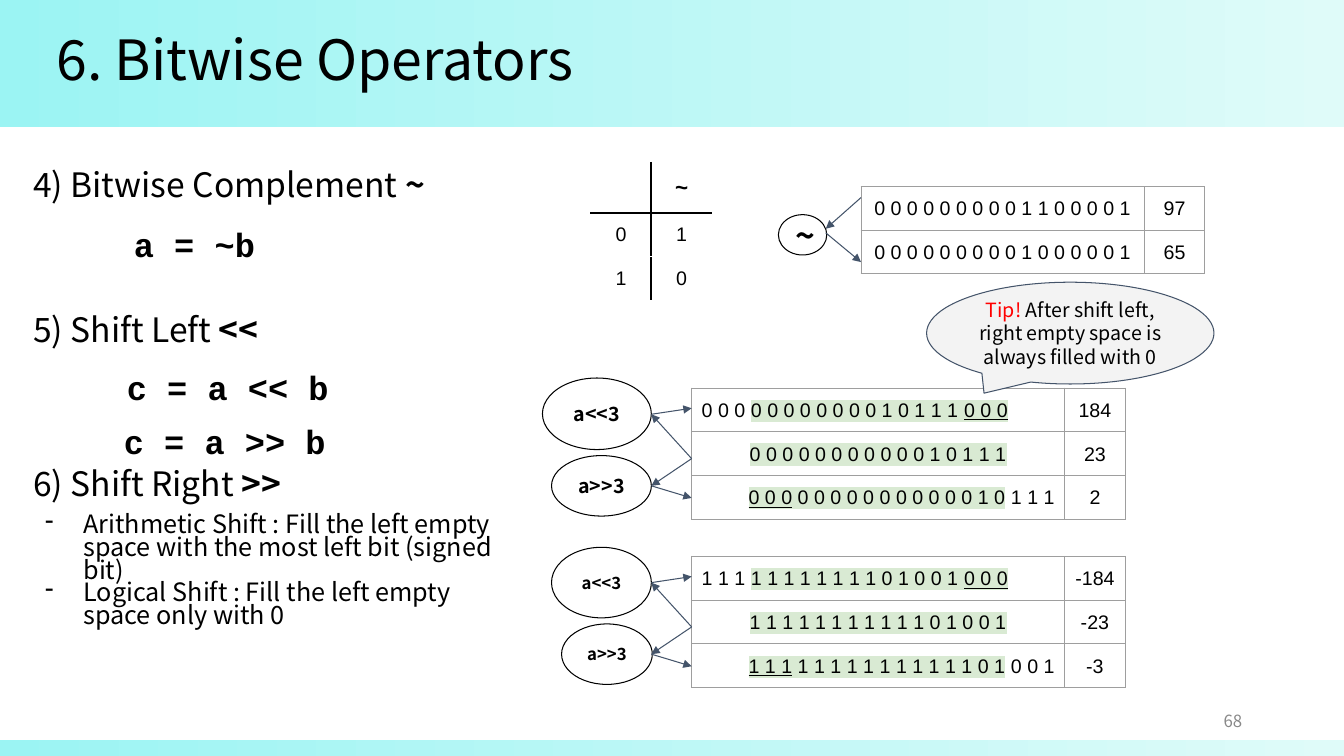
from lxml import etree
from pptx import Presentation
from pptx.dml.color import RGBColor
from pptx.enum.shapes import MSO_CONNECTOR, MSO_SHAPE
from pptx.enum.text import MSO_ANCHOR, PP_ALIGN
from pptx.oxml.ns import qn
from pptx.util import Inches, Pt

LEFT, CENTER, RIGHT = PP_ALIGN.LEFT, PP_ALIGN.CENTER, PP_ALIGN.RIGHT
TOP, MIDDLE, BOTTOM = MSO_ANCHOR.TOP, MSO_ANCHOR.MIDDLE, MSO_ANCHOR.BOTTOM
RECT, ELLIPSE = MSO_SHAPE.RECTANGLE, MSO_SHAPE.OVAL
CALLOUT = MSO_SHAPE.OVAL_CALLOUT
STRAIGHT = MSO_CONNECTOR.STRAIGHT

SANS, MONO, ARIAL = "Noto Sans CJK KR", "Courier New", "Arial"
BLACK, WHITE, SLATE, GRID = "000000", "FFFFFF", "44546A", "9E9E9E"
GREEN = "D9EAD3"
ROW = 0.417


def rgb(color):
    return RGBColor.from_string(color)


def add_color(parent, tag, color):
    node = etree.SubElement(parent, qn(tag))
    etree.SubElement(node, qn("a:srgbClr")).set("val", color)
    return node


def add_run(p, text, size, font=SANS, color=BLACK, bold=False, underline=False, highlight=None):
    r = p.add_run()
    r.text = text
    r.font.size = Pt(size)
    r.font.name = font
    r.font.bold = bold
    r.font.underline = underline
    r.font.color.rgb = rgb(color)
    if highlight:
        rPr = r._r.get_or_add_rPr()
        rPr.find(qn("a:latin")).addprevious(add_color(rPr, "a:highlight", highlight))


def set_frame(tf, anchor, inset_x=0.1, inset_y=0.1):
    tf.word_wrap = True
    tf.vertical_anchor = anchor
    tf.margin_left = tf.margin_right = Inches(inset_x)
    tf.margin_top = tf.margin_bottom = Inches(inset_y)
    return tf


def add_text(s, x, y, w, h, anchor=MIDDLE):
    box = s.shapes.add_textbox(Inches(x), Inches(y), Inches(w), Inches(h))
    return set_frame(box.text_frame, anchor, inset_y=0.05)


def add_shape(s, kind, x, y, w, h, line=BLACK):
    sp = s.shapes.add_shape(kind, Inches(x), Inches(y), Inches(w), Inches(h))
    sp.shadow.inherit = False
    sp.fill.background()
    if line:
        sp.line.color.rgb = rgb(line)
        sp.line.width = Pt(0.75)
    else:
        sp.line.fill.background()
    set_frame(sp.text_frame, MIDDLE).paragraphs[0].alignment = CENTER
    return sp


def add_band(s, y, h):
    sp = add_shape(s, RECT, 0, y, 13.33, h, None)
    sp.fill.gradient()
    sp.fill.gradient_angle = 0
    for stop, color in zip(sp.fill.gradient_stops, ("9BF4F3", "DFFBF9")):
        stop.color.rgb = rgb(color)


def add_oval(s, x, y, w, h, text, size):
    sp = add_shape(s, ELLIPSE, x, y, w, h)
    add_run(sp.text_frame.paragraphs[0], text, size, bold=True)


def add_arrow(s, x1, y1, x2, y2):
    cn = s.shapes.add_connector(STRAIGHT, Inches(x1), Inches(y1), Inches(x2), Inches(y2))
    cn.line.color.rgb = rgb(SLATE)
    cn.line.width = Pt(0.75)
    etree.SubElement(cn.line._get_or_add_ln(), qn("a:tailEnd")).set("type", "triangle")
    etree.SubElement(cn._element.spPr, qn("a:effectLst"))


def set_borders(cell, colors):
    tcPr = cell._tc.get_or_add_tcPr()
    for i, (side, color) in enumerate(zip("LRTB", colors)):
        width = Pt(1.5 if color == BLACK else 0.75)
        ln = etree.Element(qn(f"a:ln{side}"), w=str(width))
        add_color(ln, "a:solidFill", color)
        tcPr.insert(i, ln)


def add_grid(s, x, y, widths, heights, rows, border):
    frame = s.shapes.add_table(len(rows), len(widths), Inches(x), Inches(y),
                               Inches(sum(widths)), Inches(sum(heights)))
    table = frame.table
    table.first_row = table.horz_banding = False
    for column, w in zip(table.columns, widths):
        column.width = Inches(w)
    for i, (row, h) in enumerate(zip(rows, heights)):
        table.rows[i].height = Inches(h)
        for j, (align, runs) in enumerate(row):
            cell = table.cell(i, j)
            cell.fill.background()
            set_borders(cell, border(i, j))
            cell.vertical_anchor = BOTTOM if border is grey_border else MIDDLE
            cell.margin_left = cell.margin_right = Inches(0.1)
            cell.margin_top = cell.margin_bottom = Inches(0.1)
            p = cell.text_frame.paragraphs[0]
            p.alignment = align
            for text, style in runs:
                add_run(p, text, **{"size": 14, "font": ARIAL, **style})


def grey_border(i, j):
    return [GRID] * 4


def truth_border(i, j):
    marks = (j == 1, j == 0, i == 1, i == 0)
    return [BLACK if mark else WHITE for mark in marks]


def centered(text, **style):
    return CENTER, [(text, style)]


def add_body(s):
    tf = add_text(s, 0.23, 1.67, 5, 5.28, TOP)
    lines = [
        (0, 0, [("4) Bitwise Complement ", SANS, False), ("~", SANS, True)]),
        (1, 21, [("a = ~b", MONO, True)]),
        (0, 39.5, [("5) Shift Left ", SANS, False), ("<<", SANS, True)]),
        (0.93, 20, [("c = a << b", MONO, True)]),
        (0.9, 16.5, [("c = a >> b", MONO, True)]),
        (0, 8.5, [("6) Shift Right ", SANS, False), (">>", SANS, True)]),
    ]
    notes = [
        (9.5, "Arithmetic Shift : Fill the left empty space with the most left bit (signed bit)"),
        (0, "Logical Shift : Fill the left empty space only with 0"),
    ]
    p = tf.paragraphs[0]
    for indent, before, runs in lines:
        if before:
            p = tf.add_paragraph()
        p.line_spacing, p.space_before = 0.75, Pt(before)
        p._p.get_or_add_pPr().set("marL", str(Inches(indent)))
        for text, font, bold in runs:
            add_run(p, text, 24, font, bold=bold)
    for before, text in notes:
        p = tf.add_paragraph()
        p.line_spacing, p.space_before = 0.75, Pt(before)
        pPr = p._p.get_or_add_pPr()
        pPr.set("marL", str(Inches(0.5)))
        pPr.set("indent", str(Inches(-0.38)))
        add_color(pPr, "a:buClr", BLACK)
        etree.SubElement(pPr, qn("a:buChar")).set("char", "-")
        add_run(p, text, 18)


def add_shift_block(s, top, size, ovals, sign, shifted, value, lost, results):
    green, marked = {"highlight": GREEN}, {"highlight": GREEN, "underline": True}
    fill = " ".join(sign * 3)
    bits = [
        (LEFT, [(fill + " ", {}), (shifted + " ", green), ("0 0 0", marked)]),
        (CENTER, [(value, green)]),
        (RIGHT, [(fill, marked), (" " + value[:-6], green), (" " + lost, {})]),
    ]
    rows = [(cell, centered(result)) for cell, result in zip(bits, results)]
    add_grid(s, 6.86, top, [3.7, 0.6], [ROW] * 3, rows, grey_border)
    for (x, y, w, h), text in zip(ovals, ("a<<3", "a>>3")):
        add_oval(s, x, y, w, h, text, size)
    for start, end in ((0.26, 0.2), (0.97, 1.09)):
        add_arrow(s, 6.86, top + 0.7, 6.46, top + start)
        add_arrow(s, 6.46, top + start, 6.86, top + end)


def add_complement(s):
    truth = [[centered(""), centered("~", size=16, bold=True)],
             [centered("0"), centered("1")],
             [centered("1"), centered("0")]]
    add_grid(s, 5.86, 1.61, [0.6, 0.6], [0.45, ROW, ROW], truth, truth_border)
    words = [[centered("0 0 0 0 0 0 0 0 0 1 1 0 0 0 0 1"), centered("97")],
             [centered("0 0 0 0 0 0 0 0 0 1 0 0 0 0 0 1"), centered("65")]]
    add_grid(s, 8.54, 1.85, [2.81, 0.6], [ROW] * 2, words, grey_border)
    add_oval(s, 7.72, 2.13, 0.48, 0.4, "~", 24)
    add_arrow(s, 8.54, 1.96, 8.19, 2.27)
    add_arrow(s, 8.19, 2.31, 8.54, 2.6)


def add_tip(s):
    sp = add_shape(s, CALLOUT, 9.19, 2.8, 2.85, 1.01, SLATE)
    sp.adjustments[0], sp.adjustments[1] = -0.3, 0.59
    sp.fill.solid()
    sp.fill.fore_color.rgb = rgb("F3F3F3")
    p = sp.text_frame.paragraphs[0]
    add_run(p, "Tip!", 14, color="FF0000")
    add_run(p, " After shift left, right empty space is always filled with 0", 14)


def main():
    prs = Presentation()
    prs.slide_width, prs.slide_height = Inches(13.33), Inches(7.5)
    s = prs.slides.add_slide(prs.slide_layouts[6])
    add_band(s, 7.34, 0.16)
    add_band(s, 0, 1.26)
    title = add_text(s, 0.46, 0.27, 12.58, 0.7).paragraphs[0]
    title.line_spacing = 0.9
    add_run(title, "6. Bitwise Operators", 39.6)
    add_body(s)
    number = add_text(s, 9.42, 6.95, 3, 0.4).paragraphs[0]
    number.alignment = RIGHT
    add_run(number, "68", 12, color="888888")
    add_complement(s)
    add_shift_block(s, 5.52, 12, [(5.47, 5.43, 0.99, 0.7), (5.57, 6.19, 0.9, 0.6)],
                    "1", "1 1 1 1 1 1 1 1 0 1 0 0 1", "1 1 1 1 1 1 1 1 1 1 1 0 1 0 0 1",
                    "0 0 1", ("-184", "-23", "-3"))
    add_shift_block(s, 3.85, 14, [(5.38, 3.75, 1.08, 0.71), (5.47, 4.52, 0.99, 0.6)],
                    "0", "0 0 0 0 0 0 0 0 1 0 1 1 1", "0 0 0 0 0 0 0 0 0 0 0 1 0 1 1 1",
                    "1 1 1", ("184", "23", "2"))
    add_tip(s)
    prs.save("out.pptx")


if __name__ == "__main__":
    main()
